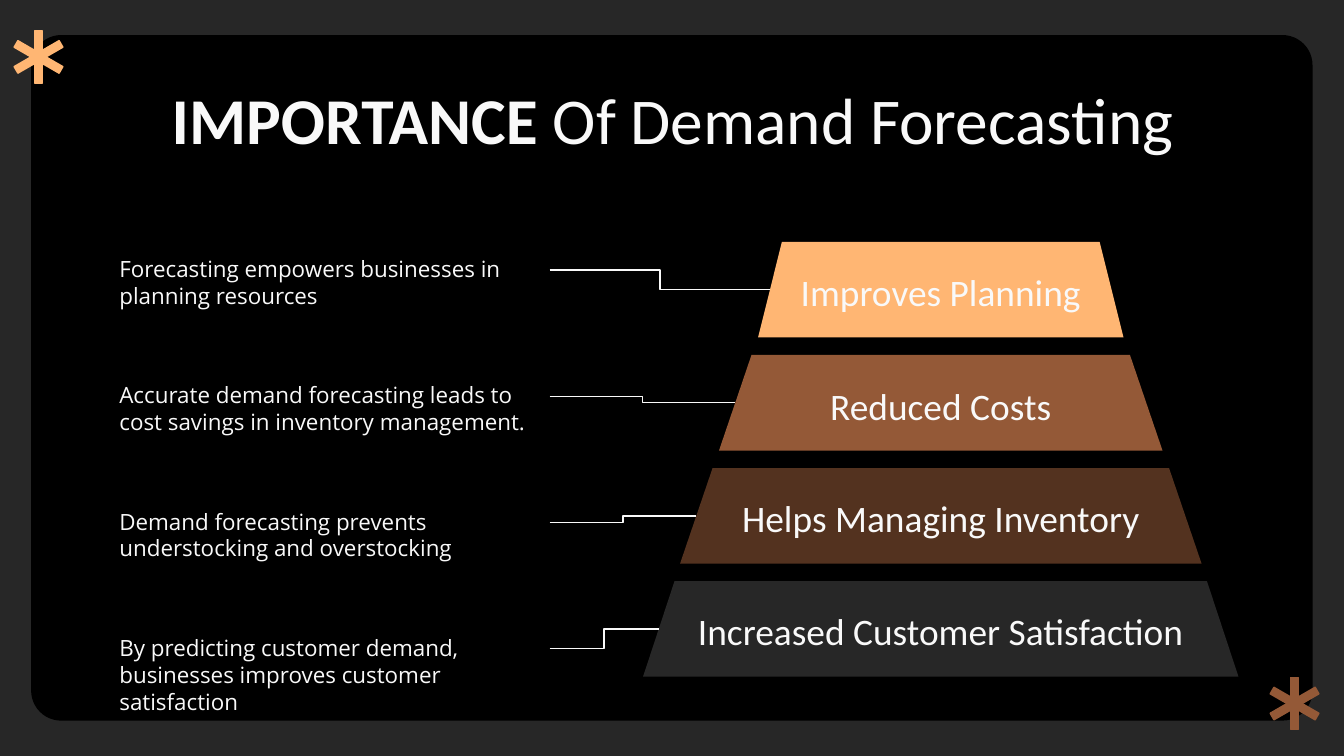
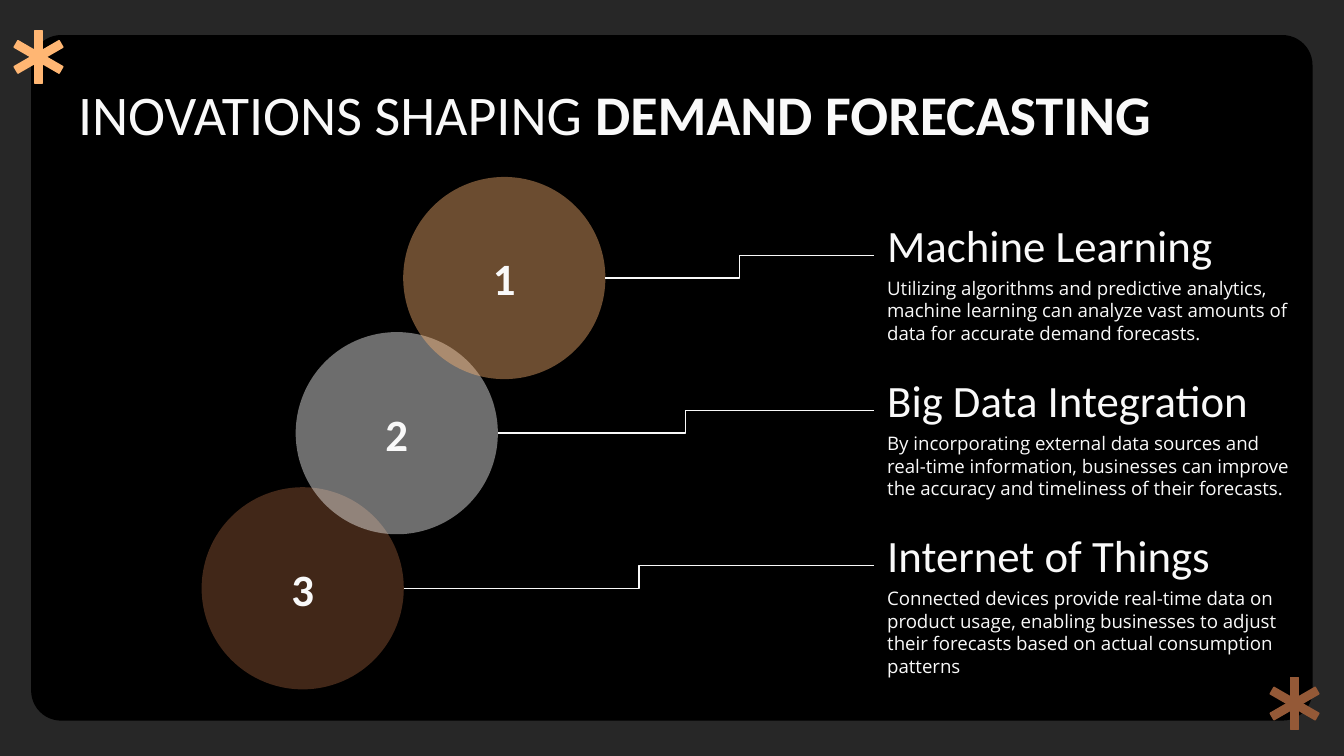
from lxml import etree
from pptx import Presentation
from pptx.dml.color import RGBColor
from pptx.enum import shapes, text
from pptx.oxml import ns
from pptx.util import Pt

BACKDROP, PANEL, LIGHT = "272727", "000000", "F9F9F9"
PEACH, COPPER, UMBER = "FFB673", "945937", "53321F"
HEAD_FONT, BODY_FONT = "Calibri", "Open Sans"
LEFT, CENTER = text.PP_ALIGN.LEFT, text.PP_ALIGN.CENTER
TOP, MIDDLE, BOTTOM = (text.MSO_ANCHOR.TOP, text.MSO_ANCHOR.MIDDLE,
                       text.MSO_ANCHOR.BOTTOM)
KIND = shapes.MSO_SHAPE

LEVELS = [
    ("Improves Planning", PEACH, 195.8, 0.25,
     "Forecasting empowers businesses in planning resources"),
    ("Reduced Costs", COPPER, 237.6, 0.34,
     "Accurate demand forecasting leads to cost savings in inventory management."),
    ("Helps Managing Inventory", UMBER, 279.4, 0.34,
     "Demand forecasting prevents understocking and overstocking"),
    ("Increased Customer Satisfaction", BACKDROP, 319, 0.33,
     "By predicting customer demand, businesses improves customer satisfaction"),
]
INNOVATIONS = [
    ("Machine Learning", 216, PEACH, 42, 231, Pt(27.3),
     "Utilizing algorithms and predictive analytics, machine learning can "
     "analyze vast amounts of data for accurate demand forecasts."),
    ("Big Data Integration", 158.4, LIGHT, 44, 231, None,
     "By incorporating external data sources and real-time information, "
     "businesses can improve the accuracy and timeliness of their forecasts."),
    ("Internet of Things", 108, COPPER, 44, 239, None,
     "Connected devices provide real-time data on product usage, enabling "
     "businesses to adjust their forecasts based on actual consumption patterns"),
]


def apply(target, **values):
    for name, value in values.items():
        setattr(target, name, value)


def paint(color_format, color):
    color_format.rgb = RGBColor.from_string(color)


def write(box, spans, size, font=HEAD_FONT, align=LEFT, anchor=TOP, spacing=None):
    frame = box.text_frame
    apply(frame, word_wrap=True, auto_size=text.MSO_AUTO_SIZE.NONE,
          vertical_anchor=anchor, margin_left=Pt(7.2), margin_right=Pt(7.2),
          margin_top=Pt(7.2), margin_bottom=Pt(7.2))
    para = frame.paragraphs[0]
    apply(para, alignment=align, line_spacing=spacing)
    for words, bold in spans:
        span = para.add_run()
        span.text = words
        apply(span.font, size=Pt(size), name=font, bold=bold)
        paint(span.font.color, LIGHT)


def add_title(page, spans, place, size, align=LEFT):
    title = page.shapes.title
    left, top, width, height = map(Pt, place)
    apply(title, left=left, top=top, width=width, height=height)
    write(title, spans, size, align=align)


def add_text(page, words, place, size, **style):
    box = page.shapes.add_textbox(*map(Pt, place))
    write(box, [(words, False)], size, **style)
    return box


def add_block(parent, kind, place, color, outline=None, adjust=None, alpha=None):
    block = parent.shapes.add_shape(kind, *map(Pt, place))
    block.shadow.inherit = False
    block.fill.solid()
    paint(block.fill.fore_color, color)
    if outline:
        paint(block.line.color, outline)
        block.line.width = Pt(0.75)
    else:
        block.line.fill.background()
    if adjust is not None:
        block.adjustments[0] = adjust
    if alpha is not None:
        tint = next(block.element.spPr.iter(ns.qn("a:srgbClr")))
        etree.SubElement(tint, ns.qn("a:alpha"), val=str(alpha * 1000))
    return block


def add_elbow(page, start, end):
    link = page.shapes.add_connector(shapes.MSO_CONNECTOR.ELBOW,
                                     *map(Pt, start + end))
    paint(link.line.color, LIGHT)
    link.line.width = Pt(0.75)
    etree.SubElement(link.element.spPr, ns.qn("a:effectLst"))
    return link


def add_asterisk(page, x, y, color):
    group = page.shapes.add_group_shape()
    width, height = 4.1, 27.9
    for turn in (0, 60, 120):
        bar = add_block(group, KIND.RECTANGLE,
                        (x - width / 2, y - height / 2, width, height),
                        color, outline=color)
        bar.rotation = turn
    return group


def set_frame(layout, page):
    layout.background.fill.solid()
    paint(layout.background.fill.fore_color, BACKDROP)
    parts = [
        add_block(page, KIND.ROUNDED_RECTANGLE, (16.7, 18.8, 686.5, 367.3),
                  PANEL, adjust=0.044),
        add_asterisk(page, 20.6, 30.5, PEACH),
        add_asterisk(page, 693.5, 376.9, COPPER),
    ]
    tree = layout.shapes.element
    for part in parts:
        tree.append(part.element)
    for number, node in enumerate(tree.iter(ns.qn("p:cNvPr")), 1):
        node.set("id", str(number))


def build_importance(page):
    add_title(page, [("IMPORTANCE ", True), ("Of Demand Forecasting", False)],
              (56.9, 35.3, 607, 45.4), 35, CENTER)
    middle, height = 504, 51.2
    for index, (name, color, width, slant, reason) in enumerate(LEVELS):
        left, top = middle - width / 2, 129.6 + 60.6 * index
        level = add_block(page, KIND.TRAPEZOID, (left, top, width, height),
                          color, adjust=slant)
        write(level, [(name, False)], 20, align=CENTER, anchor=MIDDLE)
        note_top = 129.6 + 67.6 * index
        note = add_text(page, reason, (56.9, note_top, 237.6, 30.2), 12,
                        font=BODY_FONT)
        link = add_elbow(page, (294.5, note_top + 15.1),
                         (left + slant * height / 2, top + height / 2))
        link.begin_connect(note, 3)


def build_innovations(page):
    add_title(page, [("INOVATIONS SHAPING ", False), ("DEMAND FORECASTING", True)],
              (34.6, 35.3, 777.6, 45.4), 30)
    size, column, step = 108.3, 468.2, 83.1
    for index, item in reversed(list(enumerate(INNOVATIONS))):
        name, left, color, alpha, width, spacing, detail = item
        shift = step * index
        circle = add_block(page, KIND.OVAL, (left, 94.8 + shift, size, size),
                           color, alpha=alpha)
        write(circle, [(str(index + 1), True)], 24, align=CENTER, anchor=MIDDLE)
        heading = add_text(page, name, (column, 121 + shift, 231, 31.7), 24,
                           anchor=BOTTOM, spacing=spacing)
        add_text(page, detail, (column, 141.1 + shift, width, 35.3), 10,
                 font=BODY_FONT)
        link = add_elbow(page, (left + size, 94.8 + shift + size / 2),
                         (column, 136.8 + shift))
        link.end_connect(heading, 1)


def main():
    deck = Presentation()
    apply(deck, slide_width=Pt(720), slide_height=Pt(405))
    layout = deck.slide_layouts[5]
    importance = deck.slides.add_slide(layout)
    set_frame(layout, importance)
    build_importance(importance)
    build_innovations(deck.slides.add_slide(layout))
    deck.save("out.pptx")


if __name__ == "__main__":
    main()
